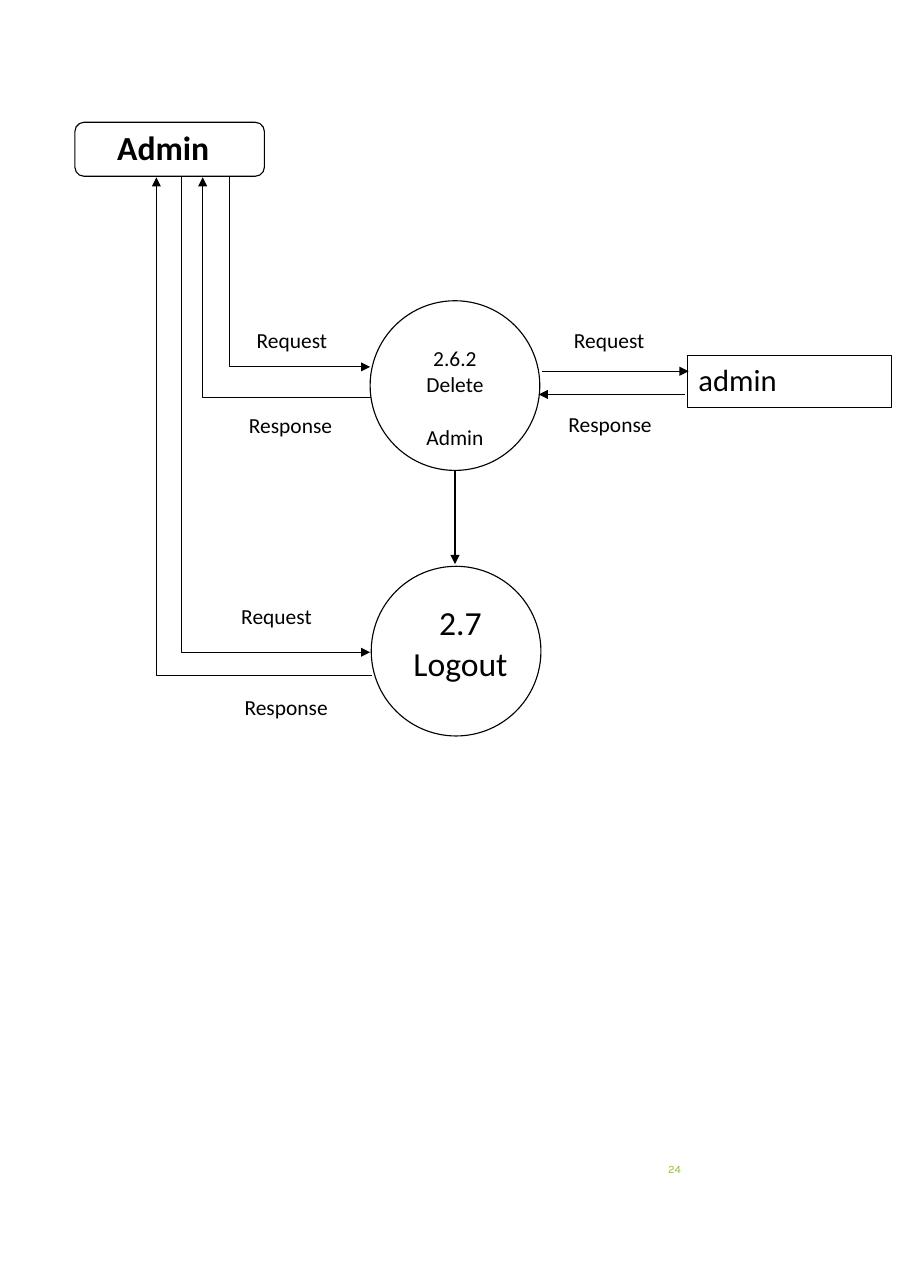
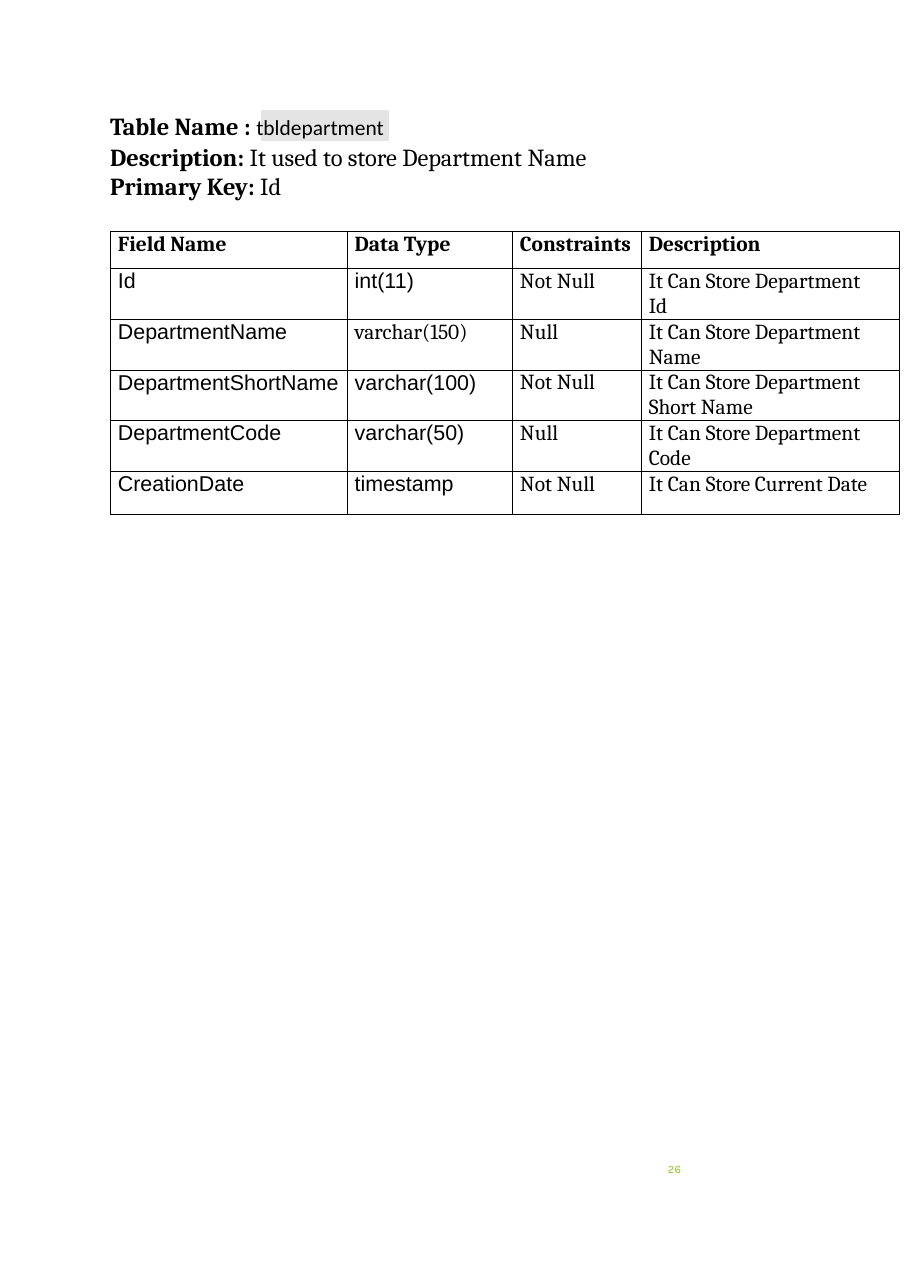
from lxml import etree
from pptx import Presentation
from pptx.dml.color import RGBColor
from pptx.enum.shapes import MSO_CONNECTOR, MSO_SHAPE
from pptx.enum.text import MSO_ANCHOR, PP_ALIGN
from pptx.oxml.ns import qn
from pptx.util import Pt

PX = 9144  # EMU; 100 px to the inch
PAGE_WIDTH, PAGE_HEIGHT = 826, 1169
COLOURS = {"ink": "000000", "highlight": "E4E4E4", "page_number": "90C226"}
SANS, SERIF, GRID, NUMBER = "Calibri", "Cambria", "Arial", "Karla"
LEFT, CENTER, RIGHT = PP_ALIGN.LEFT, PP_ALIGN.CENTER, PP_ALIGN.RIGHT
TOP, MIDDLE = MSO_ANCHOR.TOP, MSO_ANCHOR.MIDDLE
STRAIGHT = MSO_CONNECTOR.STRAIGHT
RECTANGLE, OVAL = MSO_SHAPE.RECTANGLE, MSO_SHAPE.OVAL
ROUNDED = MSO_SHAPE.ROUNDED_RECTANGLE
TITLE_ONLY, BLANK = 5, 6

# Data-flow page: place, line width, text insets (left, top), alignment, lines
NODES = [
    dict(kind=ROUNDED, at=(68, 111, 172, 49), line=0.75, insets=(36, 2),
         align=LEFT, lines=["Admin"], size=22, bold=True),
    dict(kind=OVAL, at=(336, 273, 154, 154), line=0.75, insets=(0, 17),
         align=CENTER, lines=["2.6.2", "Delete", "Admin"], size=14,
         spacing=17.2, gap_before_last=17.2),
    dict(kind=OVAL, at=(337, 514, 154, 154), line=0.75, insets=(8, 10),
         align=CENTER, lines=["2.7", "Logout"], size=22),
    dict(kind=RECTANGLE, at=(624, 323, 185, 47), line=0.5, insets=(10, 5),
         align=LEFT, lines=["admin"], size=20),
]
ELBOW_FLOWS = [
    [(208, 161), (208, 333), (336, 333)],
    [(337, 361), (184, 361), (184, 161)],
    [(165, 161), (165, 592), (336, 592)],
    [(338, 613), (142, 613), (142, 161)],
]
STRAIGHT_FLOWS = [
    (413, 427, 413, 512),
    (492, 337, 625, 337),
    (622, 358, 489, 358),
]
FLOW_LABELS = {
    "Request": [(233, 296), (521, 296), (219, 546)],
    "Response": [(226, 373), (516, 372), (222, 629)],
}
LABEL_WIDTH, LABEL_HEIGHT = 80, 26

# Table page
HEADINGS = [
    ("Table Name : ", "tbldepartment", SANS, 14),
    ("Description: ", "It used to store Department Name", SERIF, 16),
    ("Primary Key: ", "Id", SERIF, 16),
]
COLUMN_WIDTHS = [215, 150, 117, 234]
ROW_HEIGHTS = [34, 46, 46, 46, 46, 39]
FIELDS = [
    ("Field Name", "Data Type", "Constraints", "Description"),
    ("Id", "int(11)", "Not Null", "It Can Store Department\nId"),
    ("DepartmentName", "varchar(150)", "Null", "It Can Store Department\nName"),
    ("DepartmentShortName", "varchar(100)", "Not Null",
     "It Can Store Department\nShort Name"),
    ("DepartmentCode", "varchar(50)", "Null", "It Can Store Department\nCode"),
    ("CreationDate", "timestamp", "Not Null", "It Can Store Current Date"),
]
SERIF_DATA_TYPES = {"varchar(150)"}


def px(*lengths):
    return [round(length * PX) for length in lengths]


def colour(name):
    return RGBColor.from_string(COLOURS[name])


def add_run(para, text, size, font=SANS, bold=False, ink="ink"):
    span = para.add_run()
    span.text = text
    span.font.size = Pt(size)
    span.font.name = font
    span.font.bold = bold
    span.font.color.rgb = colour(ink)


def set_frame(frame, left=0, top=0, right=0, anchor=TOP):
    frame.word_wrap = True
    frame.vertical_anchor = anchor
    frame.margin_left, frame.margin_top, frame.margin_right = px(left, top, right)
    frame.margin_bottom = 0


def paragraphs(frame, count):
    """Return the frame's first paragraph and as many new ones as needed."""
    return [frame.paragraphs[0]] + [frame.add_paragraph() for _ in range(count - 1)]


def add_text_box(page, at, text, size, **style):
    box = page.shapes.add_textbox(*px(*at))
    set_frame(box.text_frame, top=1)
    add_run(box.text_frame.paragraphs[0], text, size, **style)
    return box


def add_page_number(page, number):
    box = add_text_box(page, (582, 1030, 46, 62), number, 7.4,
                       font=NUMBER, ink="page_number")
    set_frame(box.text_frame, right=10, anchor=MIDDLE)
    box.text_frame.paragraphs[0].alignment = RIGHT


def add_node(page, node):
    shape = page.shapes.add_shape(node["kind"], *px(*node["at"]))
    shape.shadow.inherit = False
    shape.fill.background()
    shape.line.color.rgb = colour("ink")
    shape.line.width = Pt(node["line"])
    if node["kind"] == ROUNDED:
        shape.adjustments[0] = 0.17
    frame = shape.text_frame
    set_frame(frame, *node["insets"])
    paras = paragraphs(frame, len(node["lines"]))
    for para, text in zip(paras, node["lines"]):
        para.alignment = node["align"]
        if "spacing" in node:
            para.line_spacing = Pt(node["spacing"])
        add_run(para, text, node["size"], bold=node.get("bold", False))
    if "gap_before_last" in node:
        paras[-1].space_before = Pt(node["gap_before_last"])


def style_arrow(arrow):
    arrow.line.color.rgb = colour("ink")
    arrow.line.width = Pt(0.75)
    etree.SubElement(arrow.line._get_or_add_ln(), qn("a:tailEnd"), type="triangle")


def add_elbow_flow(page, points):
    builder = page.shapes.build_freeform(*points[0], scale=PX)
    builder.add_line_segments(points[1:], close=False)
    arrow = builder.convert_to_shape()
    arrow.shadow.inherit = False
    arrow.fill.background()
    style_arrow(arrow)


def add_straight_flow(page, ends):
    arrow = page.shapes.add_connector(STRAIGHT, *px(*ends))
    style_arrow(arrow)
    etree.SubElement(arrow._element.spPr, qn("a:effectLst"))


def build_flow_page(deck):
    page = deck.slides.add_slide(deck.slide_layouts[BLANK])
    for node in NODES:
        add_node(page, node)
    for points in ELBOW_FLOWS:
        add_elbow_flow(page, points)
    for ends in STRAIGHT_FLOWS:
        add_straight_flow(page, ends)
    for text, places in FLOW_LABELS.items():
        for left, top in places:
            add_text_box(page, (left, top, LABEL_WIDTH, LABEL_HEIGHT), text, 14)
    add_page_number(page, "24")


def add_headings(page):
    highlight = page.shapes.add_shape(RECTANGLE, *px(237, 100, 116, 28))
    highlight.shadow.inherit = False
    highlight.fill.solid()
    highlight.fill.fore_color.rgb = colour("highlight")
    highlight.line.fill.background()
    page.shapes._spTree.insert(2, highlight._element)  # behind the title

    title = page.shapes.title
    title.left, title.top, title.width, title.height = px(99, 96, 456, 85)
    set_frame(title.text_frame, left=1, top=5)
    paras = paragraphs(title.text_frame, len(HEADINGS))
    for para, (name, value, font, size) in zip(paras, HEADINGS):
        para.alignment = LEFT
        add_run(para, name, 16, font=SERIF, bold=True)
        add_run(para, value, size, font=font)
    for para in paras[1:]:
        para.line_spacing = Pt(18.9)
    paras[1].space_before = Pt(1.1)


def add_borders(cell):
    properties = cell._tc.get_or_add_tcPr()
    for side in ("lnL", "lnR", "lnT", "lnB"):
        line = etree.SubElement(properties, qn("a:" + side), w=str(Pt(0.5)))
        fill = etree.SubElement(line, qn("a:solidFill"))
        etree.SubElement(fill, qn("a:srgbClr"), val=COLOURS["ink"])


def fill_cell(cell, text, font, bold):
    add_borders(cell)
    cell.fill.background()
    cell.margin_left, cell.margin_top, cell.margin_right, cell.margin_bottom = px(7, 0, 0, 0)
    para = cell.text_frame.paragraphs[0]
    para.line_spacing = Pt(16.1 if font == GRID else 16.4)
    for index, line in enumerate(text.split("\n")):
        if index:
            para.add_line_break()
        add_run(para, line, 14, font=font, bold=bold)


def add_field_table(page):
    frame = page.shapes.add_table(
        len(FIELDS), len(COLUMN_WIDTHS),
        *px(100, 210, sum(COLUMN_WIDTHS), sum(ROW_HEIGHTS)))
    table = frame.table
    table.first_row = table.horz_banding = False
    for column, width in zip(table.columns, COLUMN_WIDTHS):
        column.width = width * PX
    for row, height in zip(table.rows, ROW_HEIGHTS):
        row.height = height * PX
    for row, texts in enumerate(FIELDS):
        for column, text in enumerate(texts):
            is_grid_font = row > 0 and column < 2 and text not in SERIF_DATA_TYPES
            fill_cell(table.cell(row, column), text,
                      GRID if is_grid_font else SERIF, bold=row == 0)


def build_table_page(deck):
    page = deck.slides.add_slide(deck.slide_layouts[TITLE_ONLY])
    add_headings(page)
    add_field_table(page)
    add_page_number(page, "26")


def main():
    deck = Presentation()
    deck.slide_width, deck.slide_height = px(PAGE_WIDTH, PAGE_HEIGHT)
    build_flow_page(deck)
    build_table_page(deck)
    deck.save("out.pptx")


if __name__ == "__main__":
    main()
